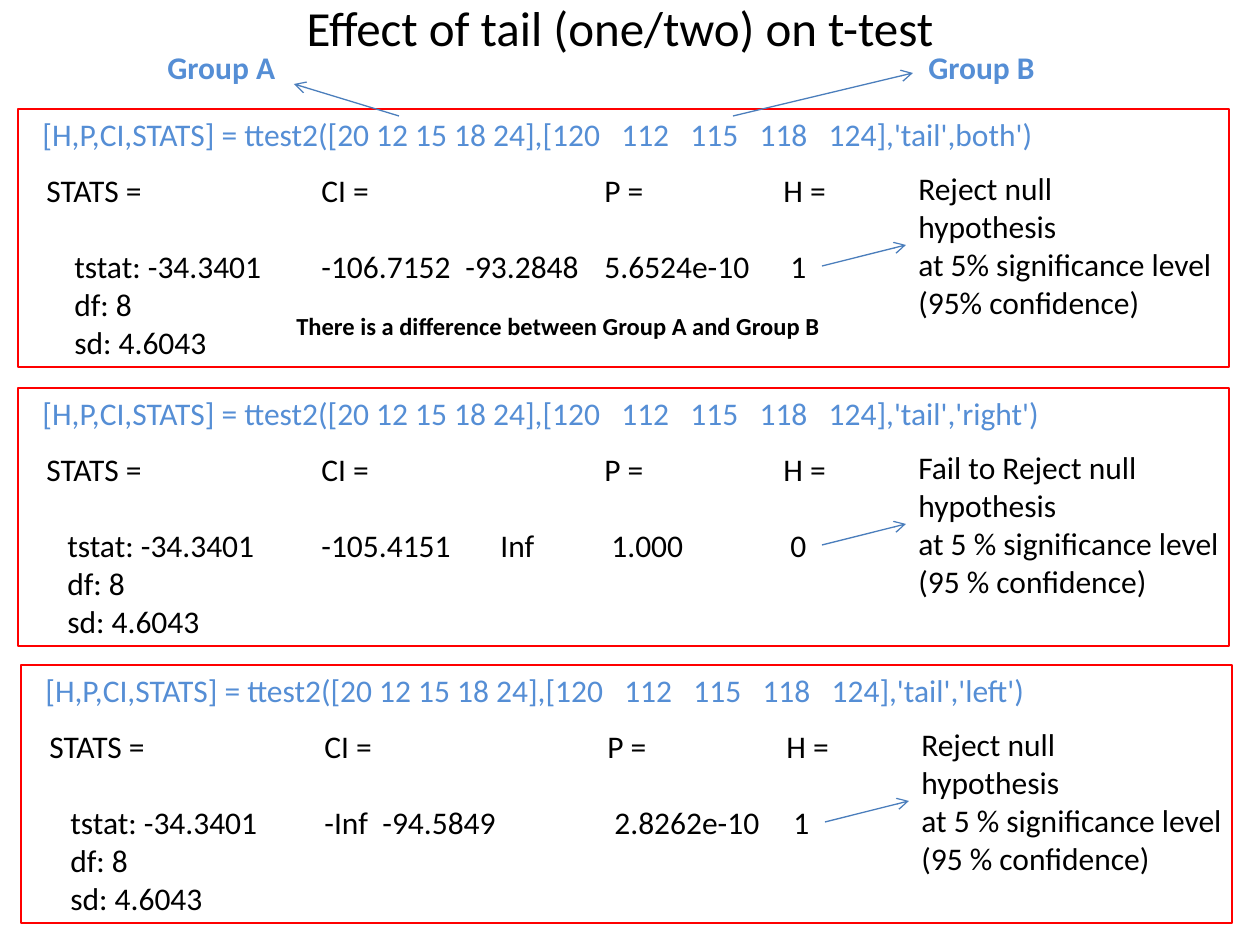
from dataclasses import dataclass

from lxml.etree import SubElement
from pptx import Presentation
from pptx.dml.color import RGBColor
from pptx.enum.shapes import MSO_CONNECTOR, MSO_SHAPE
from pptx.enum.text import MSO_ANCHOR, PP_ALIGN
from pptx.oxml.ns import qn
from pptx.util import Emu, Pt

PX = 914400 // 126
FONT = "Calibri"
COLORS = {"text": "000000", "accent": "558ED5", "arrow": "4B7EBC", "frame": "FF0000"}
LINE_GAP = Pt(22)  # one line of 18 pt text
PANEL_WIDTH, PANEL_HEIGHT = 1211, 258


@dataclass
class Line:
    text: str
    indent: int = 0
    tab: int = 0
    gap_above: bool = False


@dataclass
class Panel:
    left: int
    top: int
    tail: str
    stats_indent: int
    interval: Line
    p_value: Line
    decision: str
    conclusion: list[str]


PANELS = [
    Panel(18, 109, "both'", 28, Line("-106.7152\t-93.2848", tab=144, gap_above=True),
          Line("5.6524e-10", gap_above=True), "1",
          ["Reject null", "hypothesis", "at 5% significance level", "(95% confidence)"]),
    Panel(18, 388, "'right'", 21, Line("-105.4151\tInf", tab=179, gap_above=True),
          Line("1.000", indent=7, gap_above=True), "0",
          ["Fail to Reject null", "hypothesis", "at 5 % significance level", "(95 % confidence)"]),
    Panel(21, 665, "'left'", 21, Line("-Inf\t-94.5849", tab=58, gap_above=True),
          Line("2.8262e-10", indent=7, gap_above=True), "1",
          ["Reject null", "hypothesis", "at 5 % significance level", "(95 % confidence)"]),
]


def px(length: int) -> Emu:
    return Emu(length * PX)


def color(name: str) -> RGBColor:
    return RGBColor.from_string(COLORS[name])


def set_font(paragraph, size: int, color_name: str, bold: bool = False) -> None:
    font = paragraph.font
    font.name, font.size, font.bold = FONT, Pt(size), bold
    font.color.rgb = color(color_name)


def add_text(slide, left: int, top: int, width: int, height: int, lines: list[Line],
             size: int = 18, color_name: str = "text", bold: bool = False) -> None:
    shape = slide.shapes.add_textbox(px(left), px(top), px(width), px(height))
    frame = shape.text_frame
    frame.word_wrap = True
    for index, line in enumerate(lines):
        paragraph = frame.add_paragraph() if index else frame.paragraphs[0]
        paragraph.text = line.text
        if line.gap_above:
            paragraph.space_before = LINE_GAP
        set_font(paragraph, size, color_name, bold)
        properties = paragraph._p.get_or_add_pPr()
        if line.indent:
            properties.set("marL", str(px(line.indent)))
        if line.tab:
            tabs = SubElement(properties, qn("a:tabLst"))
            SubElement(tabs, qn("a:tab"), pos=str(px(line.tab)), algn="l")
            default_run = properties.find(qn("a:defRPr"))
            if default_run is not None:
                default_run.addprevious(tabs)


def add_arrow(slide, x1: int, y1: int, x2: int, y2: int) -> None:
    arrow = slide.shapes.add_connector(MSO_CONNECTOR.STRAIGHT, px(x1), px(y1), px(x2), px(y2))
    arrow.line.color.rgb = color("arrow")
    arrow.line.width = Pt(0.75)
    SubElement(arrow.line._get_or_add_ln(), qn("a:tailEnd"), type="arrow")
    SubElement(arrow._element.spPr, qn("a:effectLst"))


def add_panel(slide, panel: Panel) -> None:
    left, top = panel.left, panel.top
    frame = slide.shapes.add_shape(MSO_SHAPE.RECTANGLE, px(left), px(top),
                                   px(PANEL_WIDTH), px(PANEL_HEIGHT))
    frame.shadow.inherit = False
    frame.fill.background()
    frame.line.color.rgb = color("frame")
    frame.line.width = Pt(1)

    command = ("[H,P,CI,STATS] = ttest2([20 12 15 18 24],"
               f"[120   112   115   118   124],'tail',{panel.tail})")
    add_text(slide, left + 12, top, 1040, 50, [Line(command)], color_name="accent")

    # Result columns
    indent = panel.stats_indent
    stats = [Line("STATS ="), Line("tstat: -34.3401", indent, gap_above=True),
             Line("df: 8", indent), Line("sd: 4.6043", indent)]
    decision = Line(panel.decision, indent=7, gap_above=True)
    add_text(slide, left + 16, top + 56, 242, 204, stats)
    add_text(slide, left + 291, top + 56, 335, 127, [Line("CI ="), panel.interval])
    add_text(slide, left + 574, top + 56, 282, 127, [Line("P ="), panel.p_value])
    add_text(slide, left + 753, top + 56, 161, 127, [Line("H ="), decision])

    # Conclusion
    add_arrow(slide, left + 804, top + 157, left + 888, top + 136)
    add_text(slide, left + 888, top + 54, 330, 165, [Line(text) for text in panel.conclusion])


def main() -> None:
    presentation = Presentation()
    presentation.slide_width, presentation.slide_height = px(1260), px(945)
    slide = presentation.slides.add_slide(presentation.slide_layouts[5])

    # Title
    title = slide.shapes.title
    title.left, title.top, title.width, title.height = px(53), px(-10), px(1134), px(73)
    title.text_frame.text = "Effect of tail (one/two) on t-test"
    title.text_frame.vertical_anchor = MSO_ANCHOR.MIDDLE
    paragraph = title.text_frame.paragraphs[0]
    paragraph.alignment = PP_ALIGN.CENTER
    set_font(paragraph, 28, "text")

    for panel in PANELS:
        add_panel(slide, panel)

    # Group labels
    for name, left in (("Group A", 155), ("Group B", 916)):
        add_text(slide, left, 42, 139, 50, [Line(name)], color_name="accent", bold=True)
    add_arrow(slide, 399, 116, 294, 84)
    add_arrow(slide, 733, 116, 913, 73)

    # Finding for the two-tailed test
    add_text(slide, 284, 305, 568, 43,
             [Line("There is a difference between Group A and Group B")], size=14, bold=True)

    presentation.save("out.pptx")


if __name__ == "__main__":
    main()
